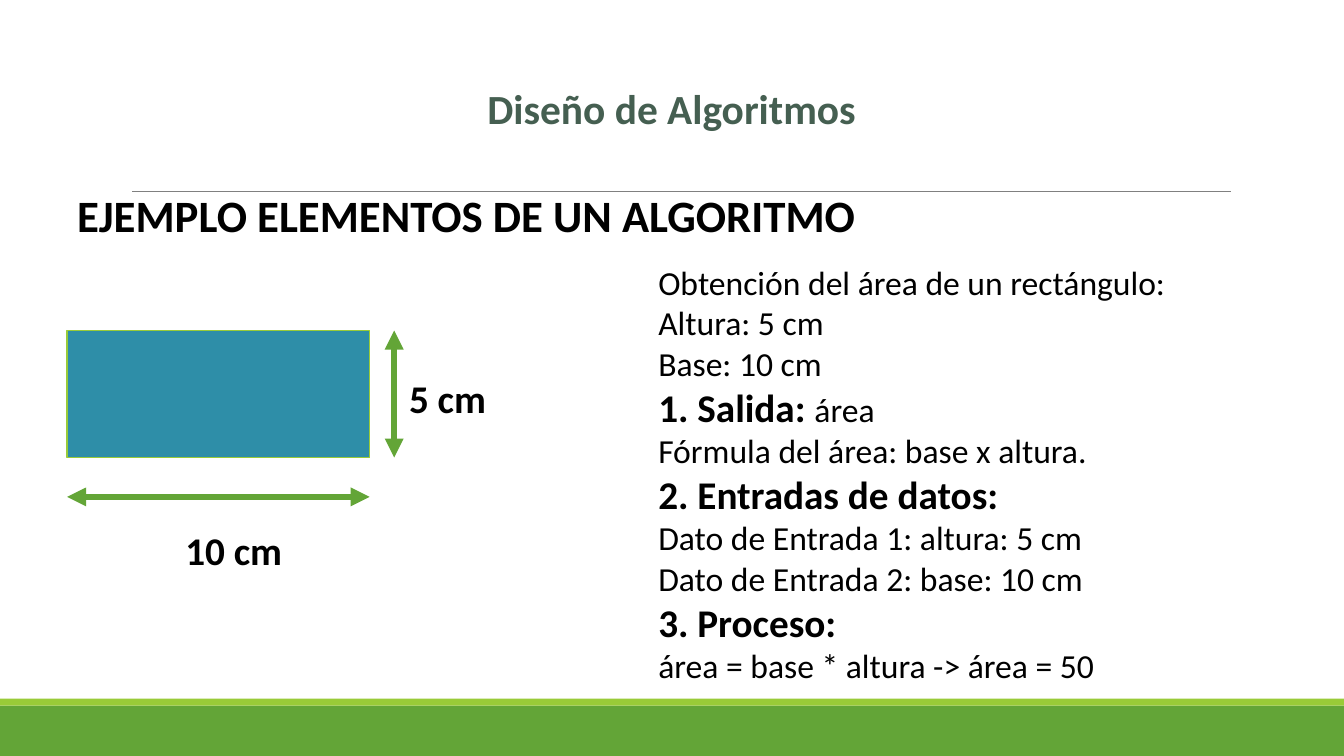
import dataclasses

import pptx
import pptx.dml.color
import pptx.enum.shapes
import pptx.enum.text
import pptx.oxml.ns
import pptx.util
from lxml import etree


@dataclasses.dataclass(frozen=True)
class Theme:
    font: str = "Calibri"
    ink: str = "000000"
    title: str = "455F51"
    green: str = "63A537"
    lime: str = "99CB38"
    teal: str = "2E8EA8"
    gray: str = "808080"
    big: float = 32
    head: float = 29.6
    mid: float = 28
    base: float = 24


def tint(code):
    return pptx.dml.color.RGBColor.from_string(code)


class Page:
    """Draws on one slide; lengths are percent of its width and height."""

    def __init__(self, deck, theme):
        self.wide, self.high = deck.slide_width, deck.slide_height
        self.theme = theme
        self.slide = deck.slides.add_slide(deck.slide_layouts[6])

    def place(self, *shares):
        sides = (self.wide, self.high) * 2
        return [round(share * side / 100) for share, side in zip(shares, sides)]

    def rect(self, box, fill, edge=None, width=1.25):
        kind = pptx.enum.shapes.MSO_SHAPE.RECTANGLE
        shape = self.slide.shapes.add_shape(kind, *self.place(*box))
        shape.shadow.inherit = False
        shape.fill.solid()
        shape.fill.fore_color.rgb = tint(fill)
        if edge:
            shape.line.color.rgb = tint(edge)
            shape.line.width = pptx.util.Pt(width)
        else:
            shape.line.fill.background()

    def line(self, ends, color, width, arrows=False):
        kind = pptx.enum.shapes.MSO_CONNECTOR.STRAIGHT
        link = self.slide.shapes.add_connector(kind, *self.place(*ends))
        link.line.color.rgb = tint(color)
        link.line.width = pptx.util.Pt(width)
        props = link._element.spPr
        if arrows:
            for tag in ("a:headEnd", "a:tailEnd"):
                tip = etree.SubElement(props.ln, pptx.oxml.ns.qn(tag))
                tip.set("type", "triangle")
        etree.SubElement(props, pptx.oxml.ns.qn("a:effectLst"))

    def style(self, run, size, bold, color=None):
        run.font.name = self.theme.font
        run.font.size = pptx.util.Pt(size)
        run.font.bold = bold
        run.font.color.rgb = tint(color or self.theme.ink)

    def frame(self, box):
        frame = self.slide.shapes.add_textbox(*self.place(*box)).text_frame
        frame.word_wrap = True
        return frame

    def label(self, box, text, size):
        frame = self.frame(box)
        frame.text = text
        self.style(frame.paragraphs[0].runs[0], size, True)

    def title(self, box, text):
        frame = self.frame(box)
        frame.margin_left = frame.margin_right = 0
        frame.margin_top = frame.margin_bottom = 0
        frame.text = text
        para = frame.paragraphs[0]
        para.alignment = pptx.enum.text.PP_ALIGN.CENTER
        self.style(para.runs[0], self.theme.head, True, self.theme.title)

    def steps(self, box, lines):
        """Each line is a bold heading and a plain part; either may be empty."""
        frame = self.frame(box)
        frame.text = "\n".join(head or text for head, text in lines)
        for para, (head, text) in zip(frame.paragraphs, lines):
            size = self.theme.mid if head else self.theme.base
            self.style(para.runs[0], size, bool(head))
            if head and text:
                run = para.add_run()
                run.text = text
                self.style(run, self.theme.base, False)


STEPS = [
    ("", "Obtención del área de un rectángulo:"),
    ("", "Altura: 5 cm"),
    ("", "Base: 10 cm"),
    ("1. Salida: ", "área"),
    ("", "Fórmula del área: base x altura."),
    ("2. Entradas de datos:", ""),
    ("", "Dato de Entrada 1: altura: 5 cm"),
    ("", "Dato de Entrada 2: base: 10 cm"),
    ("3. Proceso:", ""),
    ("", "área = base * altura -> área = 50"),
]


def main():
    deck = pptx.Presentation()
    deck.slide_width = pptx.util.Inches(13.33)
    deck.slide_height = pptx.util.Inches(7.5)
    theme = Theme()
    page = Page(deck, theme)

    # Footer bands and title rule
    page.rect((0, 93.33, 100, 6.67), theme.green)
    page.rect((0, 92.4, 100, 0.93), theme.lime)
    page.line((9.83, 25.33, 91.6, 25.33), theme.gray, 0.5)

    # Headings
    page.title((16.25, 10.93, 67.5, 6.27), "Diseño de Algoritmos")
    page.label((5, 24.13, 60.3, 8.53), "EJEMPLO ELEMENTOS DE UN ALGORITMO",
               theme.big)

    # Worked example
    page.steps((48.24, 34, 44.86, 57.87), STEPS)

    # Rectangle with its two measures
    left, top, width, height = 5, 43.73, 22.5, 16.8
    right, low = left + width, top + height
    page.rect((left, top, width, height), theme.teal, theme.lime)
    base, side = low + 5.2, right + 1.83
    page.line((left, base, right, base), theme.green, 4.5, arrows=True)
    page.line((side, top, side, low), theme.green, 4.5, arrows=True)
    page.label((13.05, 68.93, 13, 7.6), "10 cm", theme.mid)
    page.label((29.7, 48.8, 13, 7.6), "5 cm", theme.mid)

    deck.save("out.pptx")


if __name__ == "__main__":
    main()
